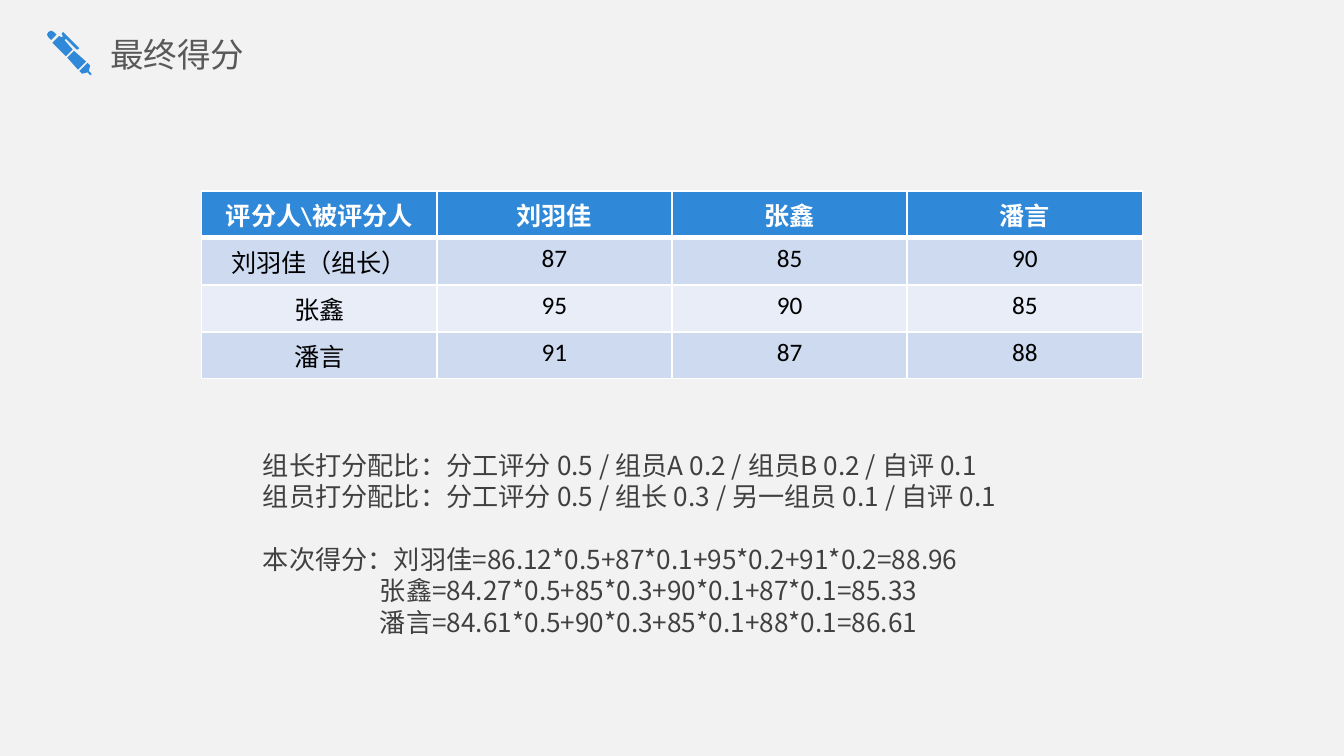
from collections import namedtuple

from lxml import etree
from pptx import Presentation
from pptx.dml.color import RGBColor
from pptx.enum.text import MSO_ANCHOR, MSO_AUTO_SIZE, PP_ALIGN
from pptx.oxml.ns import qn
from pptx.util import Cm, Pt

LEFT, CENTER = PP_ALIGN.LEFT, PP_ALIGN.CENTER
TOP, MIDDLE = MSO_ANCHOR.TOP, MSO_ANCHOR.MIDDLE
NO_AUTOFIT = MSO_AUTO_SIZE.NONE

COLORS = {
    "background": "F2F2F2",
    "accent": "2F89D8",
    "title": "595959",
    "notes": "404040",
    "odd_row": "CDDAF0",
    "even_row": "E8EDF8",
    "white": "FFFFFF",
    "black": "000000",
}
CJK_FONT = "Noto Sans CJK SC"
LATIN_FONT = "Calibri"

Box = namedtuple("Box", "left top width height")

PEN_UNITS = 33
PEN_PARTS = [
    [(30, 24), (24, 30), (26, 32), (30, 31), (32, 33), (33, 33), (33, 32),
     (31, 30), (32, 26)],
    [(20, 15), (15, 20), (23, 29), (29, 23)],
    [(13, 2), (12, 1), (11, 2), (11, 3), (12, 4), (11, 5), (9, 4), (4, 9),
     (14, 19), (19, 14), (13, 7), (14, 6), (22, 14), (23, 14), (24, 13),
     (23, 12)],
    [(3, 0), (1, 1), (0, 3), (1, 5), (3, 7), (7, 3), (5, 1)],
]

SCORES = [
    ["评分人\\被评分人", "刘羽佳", "张鑫", "潘言"],
    ["刘羽佳（组长）", "87", "85", "90"],
    ["张鑫", "95", "90", "85"],
    ["潘言", "91", "87", "88"],
]

NOTES_SIZE = 14
NOTES_LINE = 16.8
NAME_INDENT = Cm(2.21)
NOTES = [
    ("组长打分配比：分工评分 0.5 / 组员A 0.2 / 组员B 0.2 / 自评 0.1", 0, 0),
    ("组员打分配比：分工评分 0.5 / 组长 0.3 / 另一组员 0.1 / 自评 0.1", 0, 0),
    ("本次得分：刘羽佳=86.12*0.5+87*0.1+95*0.2+91*0.2=88.96", 0, NOTES_LINE),
    ("张鑫=84.27*0.5+85*0.3+90*0.1+87*0.1=85.33", NAME_INDENT, 0),
    ("潘言=84.61*0.5+90*0.3+85*0.1+88*0.1=86.61", NAME_INDENT, 0),
]


def color(name):
    return RGBColor.from_string(COLORS[name])


def add_run(paragraph, text, size, color_name, font_name, bold=False):
    run = paragraph.add_run()
    run.text = text
    run.font.size = Pt(size)
    run.font.bold = bold
    run.font.name = font_name
    run.font.color.rgb = color(color_name)
    properties = run.font._element
    latin = properties.find(qn("a:latin"))
    east_asian = etree.Element(qn("a:ea"), typeface=CJK_FONT)
    latin.addnext(east_asian)


def place(shape, box):
    shape.left, shape.top, shape.width, shape.height = box


def format_frame(frame, anchor, horizontal, vertical):
    frame.word_wrap = True
    frame.auto_size = NO_AUTOFIT
    frame.vertical_anchor = anchor
    frame.margin_left = frame.margin_right = horizontal
    frame.margin_top = frame.margin_bottom = vertical


def add_pen(slide, box):
    scale = PEN_UNITS / box.width
    first, *others = PEN_PARTS
    builder = slide.shapes.build_freeform(*first[0], scale=1 / scale)
    builder.add_line_segments(first[1:], close=True)
    for part in others:
        builder.move_to(*part[0])
        builder.add_line_segments(part[1:], close=True)
    pen = builder.convert_to_shape(box.left, box.top)
    pen.shadow.inherit = False
    pen.fill.solid()
    pen.fill.fore_color.rgb = color("accent")
    pen.line.fill.background()


def fill_title(slide, box):
    title = slide.shapes.title
    place(title, box)
    format_frame(title.text_frame, MIDDLE, 0, Cm(0.13))
    paragraph = title.text_frame.paragraphs[0]
    paragraph.alignment = LEFT
    add_run(paragraph, "最终得分", 18, "title", CJK_FONT)


def set_borders(cell, bottom_width, top_width):
    properties = cell._tc.get_or_add_tcPr()
    widths = {"lnL": 1, "lnR": 1, "lnT": top_width, "lnB": bottom_width}
    for position, (tag, width) in enumerate(widths.items()):
        line = etree.Element(qn(f"a:{tag}"), w=str(Pt(width)))
        fill = etree.SubElement(line, qn("a:solidFill"))
        etree.SubElement(fill, qn("a:srgbClr"), val=COLORS["white"])
        properties.insert(position, line)


def add_score_table(slide, box):
    table = slide.shapes.add_table(len(SCORES), len(SCORES[0]), *box).table
    for row_index, values in enumerate(SCORES):
        header = row_index == 0
        fill_name = "accent" if header else "odd_row" if row_index % 2 else "even_row"
        for column_index, value in enumerate(values):
            cell = table.cell(row_index, column_index)
            cell.margin_left = cell.margin_right = Cm(0.18)
            cell.margin_top = cell.margin_bottom = Cm(0.1)
            cell.fill.solid()
            cell.fill.fore_color.rgb = color(fill_name)
            set_borders(cell, 3 if header else 1, 3 if row_index == 1 else 1)
            paragraph = cell.text_frame.paragraphs[0]
            paragraph.alignment = CENTER
            add_run(paragraph, value, 13.5, "white" if header else "black",
                    LATIN_FONT, header)


def fill_notes(slide, box):
    body = slide.placeholders[1]
    place(body, box)
    frame = body.text_frame
    format_frame(frame, TOP, Cm(0.25), Cm(0.13))
    for index, (text, indent, gap) in enumerate(NOTES):
        paragraph = frame.add_paragraph() if index else frame.paragraphs[0]
        paragraph.alignment = LEFT
        paragraph.line_spacing = Pt(NOTES_LINE)
        paragraph.space_before = Pt(gap)
        properties = paragraph._p.get_or_add_pPr()
        properties.set("marL", str(indent))
        properties.set("indent", "0")
        etree.SubElement(properties, qn("a:buNone"))
        add_run(paragraph, text, NOTES_SIZE, "notes", CJK_FONT)


def build_score_slide(presentation):
    slide = presentation.slides.add_slide(presentation.slide_layouts[1])
    slide.background.fill.solid()
    slide.background.fill.fore_color.rgb = color("background")
    add_pen(slide, Box(Cm(0.89), Cm(0.58), Cm(0.84), Cm(0.84)))
    fill_title(slide, Box(Cm(2.08), Cm(0.48), Cm(17.42), Cm(1.07)))
    add_score_table(slide, Box(Cm(3.81), Cm(3.61), Cm(17.78), Cm(3.18)))
    fill_notes(slide, Box(Cm(4.72), Cm(8.36), Cm(15.98), Cm(3.84)))


def main():
    presentation = Presentation()
    presentation.slide_width = Cm(25.4)
    presentation.slide_height = Cm(14.29)
    build_score_slide(presentation)
    presentation.save("out.pptx")


if __name__ == "__main__":
    main()
